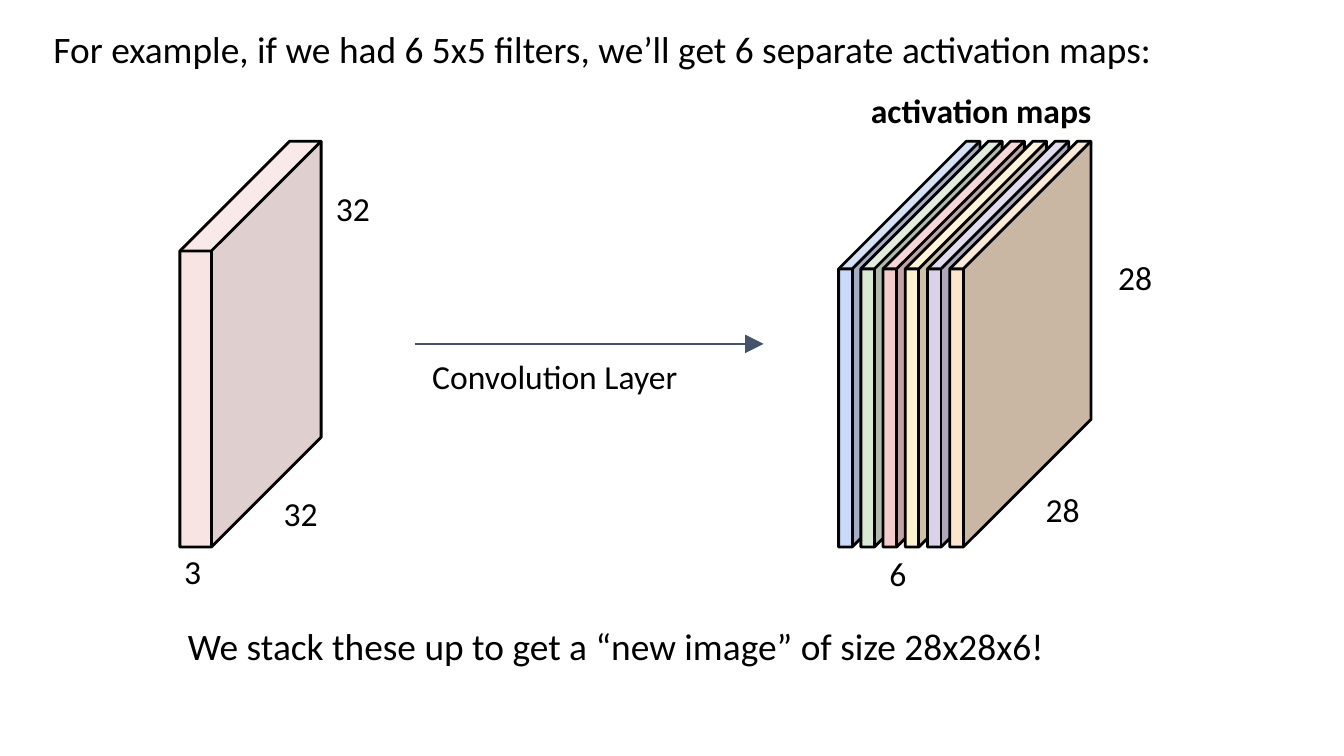
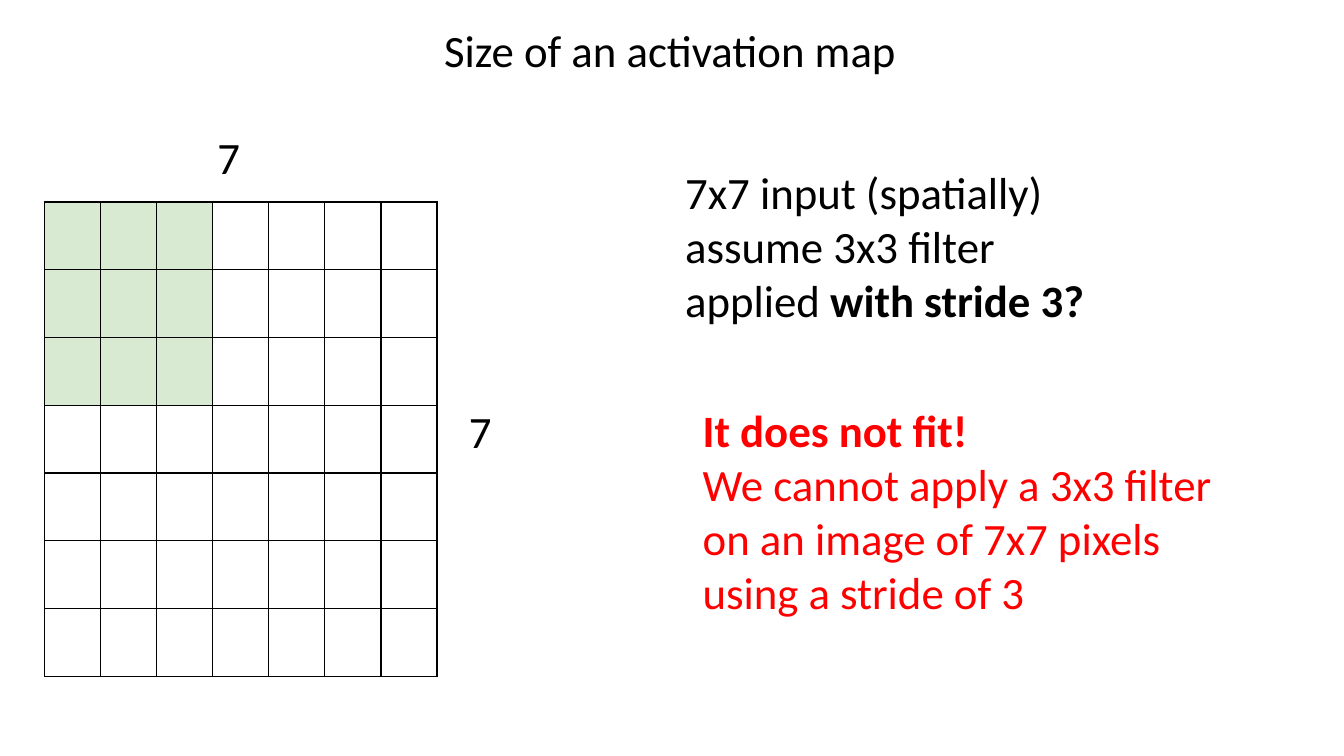
"""Build two slides on convolution layers and activation map sizes."""
from lxml import etree
from pptx import Presentation
from pptx.dml.color import RGBColor
from pptx.enum.shapes import MSO_CONNECTOR, MSO_SHAPE
from pptx.enum.text import MSO_ANCHOR, MSO_AUTO_SIZE, PP_ALIGN
from pptx.oxml import parse_xml
from pptx.oxml.ns import nsdecls, qn
from pptx.util import Cm, Pt

FONT = "Calibri"
BLACK = RGBColor(0x00, 0x00, 0x00)
WHITE = RGBColor(0xFF, 0xFF, 0xFF)
RED = RGBColor(0xFF, 0x00, 0x00)
SLATE = RGBColor(0x44, 0x54, 0x6A)
BLUE = RGBColor(0xC9, 0xDA, 0xF8)
GREEN = RGBColor(0xD9, 0xEA, 0xD3)
PINK = RGBColor(0xF4, 0xCC, 0xCC)
YELLOW = RGBColor(0xFF, 0xF2, 0xCC)
PURPLE = RGBColor(0xD9, 0xD2, 0xE9)
ORANGE = RGBColor(0xFC, 0xE5, 0xCD)

MAP_COLORS = [BLUE, GREEN, PINK, YELLOW, PURPLE, ORANGE]
MAP_LEFT, MAP_STEP = 15.85, 0.42
CUBE_TOP, CUBE_WIDTH, CUBE_HEIGHT = 2.67, 2.67, 7.67
INSET = Cm(0.25)
INPUT_SIZE, FILTER_SIZE = 7, 3


def format_text(frame, size, color=BLACK, bold=False, align=PP_ALIGN.LEFT):
    """Apply the shared insets, font and alignment to a text frame."""
    frame.word_wrap = True
    frame.auto_size = MSO_AUTO_SIZE.NONE
    frame.vertical_anchor = MSO_ANCHOR.TOP
    frame.margin_left = frame.margin_right = INSET
    frame.margin_top = frame.margin_bottom = INSET
    for paragraph in frame.paragraphs:
        paragraph.alignment = align
        for run in paragraph.runs:
            run.font.name = FONT
            run.font.size = Pt(size)
            run.font.color.rgb = color
            run.font.bold = bold


def add_text(slide, text, left, top, width, height, size=18, color=BLACK, bold=False):
    """Add a text box and return its text frame."""
    box = slide.shapes.add_textbox(Cm(left), Cm(top), Cm(width), Cm(height))
    box.text_frame.text = text
    format_text(box.text_frame, size, color, bold)
    return box.text_frame


def add_titled_slide(presentation, title, left, top, width, height, size, align):
    """Add a title-only slide with its title placed and formatted."""
    slide = presentation.slides.add_slide(presentation.slide_layouts[5])
    shape = slide.shapes.title
    shape.left, shape.top = Cm(left), Cm(top)
    shape.width, shape.height = Cm(width), Cm(height)
    shape.text_frame.text = title
    format_text(shape.text_frame, size, align=align)
    return slide


def add_cube(slide, left, depth, color, opacity=None):
    """Add an outlined cube, optionally see-through."""
    cube = slide.shapes.add_shape(
        MSO_SHAPE.CUBE, Cm(left), Cm(CUBE_TOP), Cm(CUBE_WIDTH), Cm(CUBE_HEIGHT))
    cube.adjustments[0] = depth
    cube.shadow.inherit = False
    cube.fill.solid()
    cube.fill.fore_color.rgb = color
    cube.line.color.rgb = BLACK
    cube.line.width = Pt(1.5)
    if opacity is not None:
        fill_color = cube.fill._xPr.find(qn("a:solidFill"))[0]
        etree.SubElement(fill_color, qn("a:alpha"), val=str(opacity * 1000))


def add_arrow(slide, left, right, top):
    """Add a horizontal arrow pointing right."""
    arrow = slide.shapes.add_connector(
        MSO_CONNECTOR.STRAIGHT, Cm(left), Cm(top), Cm(right), Cm(top))
    arrow.line.color.rgb = SLATE
    arrow.line.width = Pt(0.75)
    etree.SubElement(arrow.line._get_or_add_ln(), qn("a:tailEnd"),
                     type="triangle", w="lg", len="lg")
    etree.SubElement(arrow._element.spPr, qn("a:effectLst"))


def add_borders(cell):
    """Draw a thin black line on every side of a table cell."""
    properties = cell._tc.get_or_add_tcPr()
    for side in ("lnL", "lnR", "lnT", "lnB"):
        properties.append(parse_xml(
            f'<a:{side} {nsdecls("a")} w="{Pt(0.75)}"><a:solidFill>'
            f'<a:srgbClr val="{BLACK}"/></a:solidFill></a:{side}>'))


def add_pixel_grid(slide, left, top, column_width, row_height):
    """Add the input grid with the filter area shaded."""
    table = slide.shapes.add_table(
        INPUT_SIZE, INPUT_SIZE, Cm(left), Cm(top),
        Cm(column_width * INPUT_SIZE), Cm(row_height * INPUT_SIZE)).table
    table.first_row = table.horz_banding = False
    for column in table.columns:
        column.width = Cm(column_width)
    for row_index, row in enumerate(table.rows):
        row.height = Cm(row_height)
        for column_index, cell in enumerate(row.cells):
            add_borders(cell)
            if row_index >= FILTER_SIZE:
                cell.fill.background()
                continue
            cell.fill.solid()
            cell.fill.fore_color.rgb = GREEN if column_index < FILTER_SIZE else WHITE


def build_stack_slide(presentation):
    """Show the input volume turning into six activation maps."""
    slide = add_titled_slide(
        presentation,
        "For example, if we had 6 5x5 filters, we’ll get 6 separate activation maps:",
        0.76, 0.25, 24.23, 1.07, 20, PP_ALIGN.LEFT)
    add_cube(slide, 3.4, 0.777, PINK, opacity=52)
    for index, color in enumerate(MAP_COLORS):
        add_cube(slide, MAP_LEFT + index * MAP_STEP, 0.904, color)
    add_arrow(slide, 7.85, 14.43, 6.5)
    for text, left, top in [
        ("32", 5.11, 9.07), ("32", 6.1, 3.3), ("3", 3.23, 10.16),
        ("6", 16.56, 10.21), ("28", 19.51, 8.99), ("28", 20.88, 4.6),
    ]:
        add_text(slide, text, left, top, 1.37, 0.86)
    add_text(slide, "Convolution Layer", 7.92, 6.48, 9.09, 2.26)
    add_text(slide, "activation maps", 16.21, 1.45, 5.74, 1.5, bold=True)
    add_text(slide, "We stack these up to get a “new image” of size 28x28x6!",
             3.3, 11.53, 18.34, 1.3, size=20)


def build_stride_slide(presentation):
    """Show that stride 3 does not fit a 7x7 input."""
    slide = add_titled_slide(
        presentation, "Size of an activation map",
        0.38, 0.18, 24.56, 1.68, 24, PP_ALIGN.CENTER)
    question = add_text(
        slide, "7x7 input (spatially)\nassume 3x3 filter\napplied with stride 3?",
        12.7, 2.87, 14.22, 5.11, size=24)
    last_line = question.paragraphs[-1]
    last_line.text = "applied "
    last_line.add_run().text = "with stride 3?"
    format_text(question, 24)
    last_line.runs[-1].font.bold = True
    add_text(slide, "7", 3.86, 2.21, 1.52, 1.27, size=24)
    add_text(slide, "7", 8.61, 7.39, 1.63, 0.79, size=24)
    add_pixel_grid(slide, 0.84, 3.82, 1.06, 1.28)
    answer = add_text(
        slide,
        "It does not fit!\n"
        "We cannot apply a 3x3 filter on an image of 7x7 pixels using a stride of 3",
        13.03, 7.37, 11.02, 5.11, size=24, color=RED)
    answer.paragraphs[0].runs[0].font.bold = True


def main():
    """Create and save the presentation."""
    presentation = Presentation()
    presentation.slide_width, presentation.slide_height = Cm(25.4), Cm(14.29)
    build_stack_slide(presentation)
    build_stride_slide(presentation)
    presentation.save("out.pptx")


if __name__ == "__main__":
    main()
